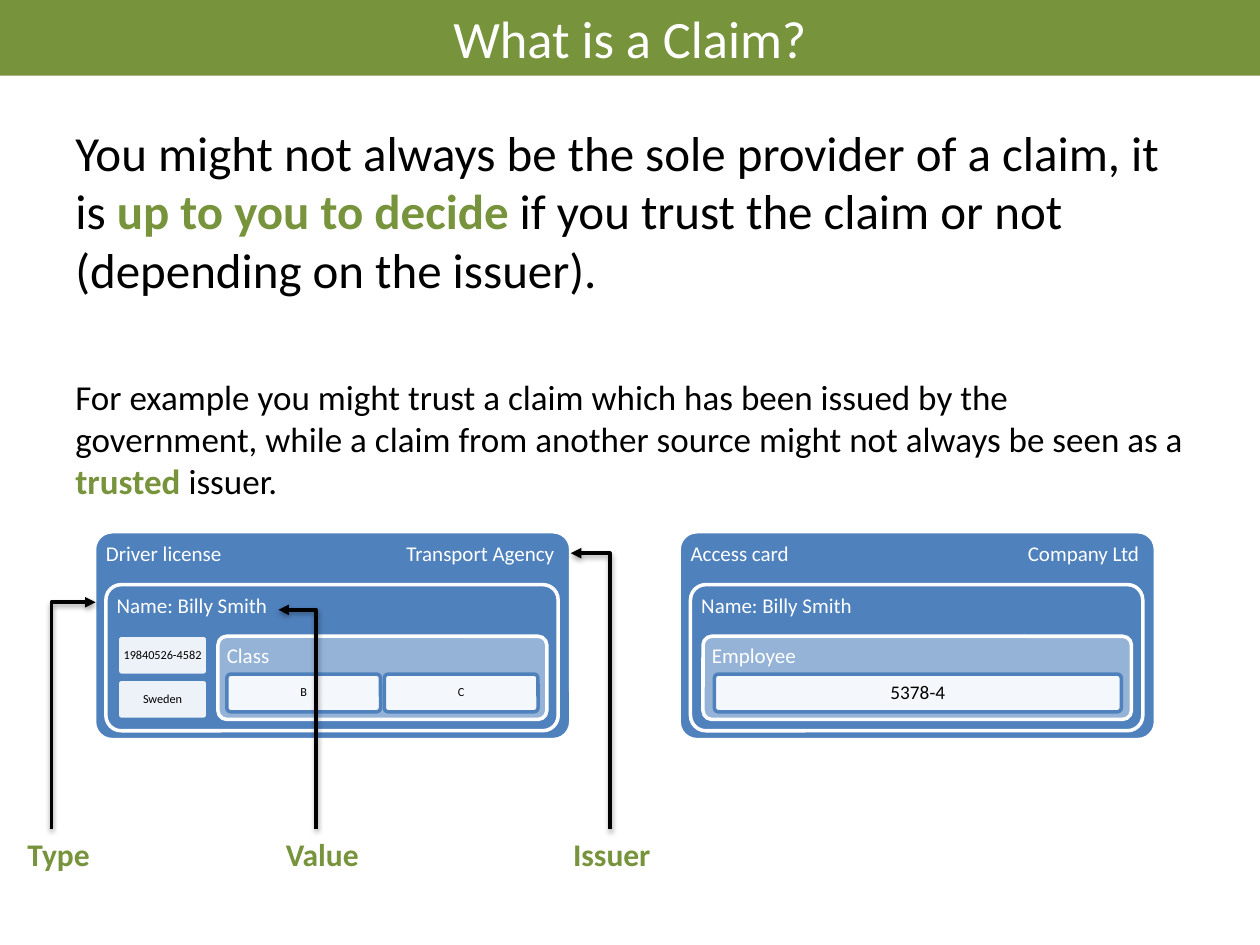
from dataclasses import dataclass

from lxml import etree
from pptx import Presentation
from pptx import util as u
from pptx.dml.color import RGBColor
from pptx.enum import shapes, text
from pptx.oxml.ns import qn

COLORS = {
    "green": "77933C", "blue": "4F81BD", "pale": "95B3D7",
    "white": "FFFFFF", "black": "000000",
}
FONT = "Calibri"
SLIDE_WIDTH, SLIDE_HEIGHT = u.Inches(10), u.Inches(7.5)
COLUMN, ROW = SLIDE_WIDTH / 100, SLIDE_HEIGHT / 75
CARD_TOP, LABEL_TOP = 42.2, 65.8
MARGINS = ("margin_left", "margin_top", "margin_right", "margin_bottom")


@dataclass(frozen=True)
class Area:
    """Left, top, width and height in grid columns and rows."""
    left: float
    top: float
    width: float
    height: float

    def shifted(self, left: float, top: float) -> "Area":
        return Area(self.left + left, self.top + top, self.width, self.height)

    def lengths(self) -> tuple[int, ...]:
        return (round(self.left * COLUMN), round(self.top * ROW),
                round(self.width * COLUMN), round(self.height * ROW))


@dataclass(frozen=True)
class Run:
    words: str
    size: float
    color: str = "black"
    bold: bool = False


@dataclass(frozen=True)
class Style:
    fill: str
    line: str
    corner: float = 0.105
    is_cell: bool = False


@dataclass(frozen=True)
class Box:
    area: Area
    style: Style
    run: Run


@dataclass(frozen=True)
class Card:
    left: float
    boxes: tuple[Box, ...]


@dataclass(frozen=True)
class Pointer:
    """A label, the column of its line, and the point its arrow reaches."""
    words: str
    area: Area
    column: float
    target: tuple[float, float]


OUTER = Style("blue", "white", corner=0.085)
PANEL = Style("blue", "white")
GROUP = Style("pale", "white")
CELL = Style("white", "blue", is_cell=True)


def heading(area: Area, style: Style, words: str) -> Box:
    return Box(area, style, Run(words, 12, "white"))


def cell(area: Area, words: str, size: float = 7) -> Box:
    return Box(area, CELL, Run(words, size))


def card_frame(title: str, issuer: str) -> tuple[Box, ...]:
    return (heading(Area(0, 0, 37.8, 16.5), OUTER, f"{title}\t{issuer}"),
            heading(Area(0.9, 4.2, 35.9, 11.6), PANEL, "Name: Billy Smith"))


CARDS = (
    Card(7.5, card_frame("Driver license", "Transport Agency") + (
        cell(Area(1.8, 8.2, 7.2, 3.2), "19840526-4582"),
        cell(Area(1.8, 11.7, 7.2, 3.2), "Sweden"),
        heading(Area(9.8, 8.3, 26.1, 6.6), GROUP, "Class"),
        cell(Area(10.5, 11.3, 12.2, 3), "B"),
        cell(Area(23, 11.3, 12.2, 3), "C"),
    )),
    Card(53.9, card_frame("Access card", "Company Ltd") + (
        heading(Area(1.9, 8.3, 34, 6.6), GROUP, "Employee"),
        cell(Area(2.8, 11.3, 32.3, 3), "5378-4", 11),
    )),
)
POINTERS = (
    Pointer("Issuer", Area(44.5, LABEL_TOP, 8.7, 4), 48.4, (45.3, 43.9)),
    Pointer("Type", Area(1.2, LABEL_TOP, 7, 4), 4.1, (7.6, 47.8)),
    Pointer("Value", Area(21.7, LABEL_TOP, 7.8, 4), 25.1, (22.1, 48.4)),
)
CLAIM = (
    Run("You might not always be the sole provider of a claim, it is ", 28),
    Run("up to you to decide ", 28, "green", True),
    Run("if you trust the claim or not (depending on the issuer).", 28),
)
EXAMPLE = (
    Run("For example you might trust a claim which has been issued by the "
        "government, while a claim from another source might not always be "
        "seen as a ", 20),
    Run("trusted ", 20, "green", True),
    Run("issuer.", 20),
)


def rgb(name: str) -> RGBColor:
    return RGBColor.from_string(COLORS[name])


def set_all(target, values: dict) -> None:
    for name, value in values.items():
        setattr(target, name, value)


def add_runs(paragraph, runs: tuple[Run, ...]) -> None:
    for item in runs:
        run = paragraph.add_run()
        run.text = item.words
        set_all(run.font, {"name": FONT, "size": u.Pt(item.size), "bold": item.bold})
        run.font.color.rgb = rgb(item.color)


def add_shape(slide, kind, area: Area, fill: str):
    shape = slide.shapes.add_shape(kind, *area.lengths())
    shape.shadow.inherit = False
    shape.fill.solid()
    shape.fill.fore_color.rgb = rgb(fill)
    return shape


def add_title(slide, words: str) -> None:
    shape = add_shape(slide, shapes.MSO_SHAPE.RECTANGLE, Area(0, 0, 100, 6), "green")
    shape.line.fill.background()
    shape.text_frame.vertical_anchor = text.MSO_ANCHOR.MIDDLE
    paragraph = shape.text_frame.paragraphs[0]
    paragraph.alignment = text.PP_ALIGN.CENTER
    add_runs(paragraph, (Run(words, 30, "white"),))


def add_body(slide) -> None:
    frame = slide.shapes.add_textbox(*Area(5, 9.2, 90, 60.6).lengths()).text_frame
    frame.word_wrap = True
    add_runs(frame.paragraphs[0], CLAIM)
    paragraph = frame.add_paragraph()
    paragraph.space_before = u.Pt(44)
    add_runs(paragraph, EXAMPLE)


def add_box(slide, box: Box, left: float) -> None:
    style = box.style
    shape = add_shape(slide, shapes.MSO_SHAPE.ROUNDED_RECTANGLE,
                      box.area.shifted(left, CARD_TOP), style.fill)
    shape.adjustments[0] = style.corner
    shape.line.color.rgb = rgb(style.line)
    shape.line.width = u.Pt(2)
    margin = 0 if style.is_cell else u.Inches(0.05)
    set_all(shape.text_frame, dict.fromkeys(MARGINS, margin) | {
        "word_wrap": True,
        "vertical_anchor": text.MSO_ANCHOR.MIDDLE if style.is_cell else text.MSO_ANCHOR.TOP,
    })
    paragraph = shape.text_frame.paragraphs[0]
    if style.is_cell:
        color = shape.fill._xPr.find(qn("a:solidFill"))[0]
        etree.SubElement(color, qn("a:alpha"), val="90000")
    if "\t" in box.run.words:
        tabs = etree.SubElement(paragraph._p.get_or_add_pPr(), qn("a:tabLst"))
        etree.SubElement(tabs, qn("a:tab"), pos=str(u.Inches(3.56)), algn="r")
    set_all(paragraph, {
        "alignment": text.PP_ALIGN.CENTER if style.is_cell else text.PP_ALIGN.LEFT,
        "line_spacing": 0.9,
    })
    add_runs(paragraph, (box.run,))


def add_pointer(slide, pointer: Pointer) -> None:
    """Draw the label and its elbow, which leaves the target sideways."""
    x, y = pointer.target
    connector = slide.shapes.add_connector(
        shapes.MSO_CONNECTOR.ELBOW, round(x * COLUMN), round(y * ROW),
        round(pointer.column * COLUMN), round(LABEL_TOP * ROW))
    connector.line.color.rgb = rgb("black")
    connector.line.width = u.Pt(2)
    properties = connector._element.spPr
    guides = properties.find(qn("a:prstGeom")).get_or_add_avLst()
    etree.SubElement(guides, qn("a:gd"), name="adj1", fmla="val 100000")
    etree.SubElement(connector.line._get_or_add_ln(), qn("a:headEnd"), type="triangle")
    effects = etree.SubElement(properties, qn("a:effectLst"))
    shadow = etree.SubElement(effects, qn("a:outerShdw"), blurRad=str(u.Pt(3.1)),
                              dist=str(u.Pt(1.6)), dir="5400000", rotWithShape="0")
    color = etree.SubElement(shadow, qn("a:srgbClr"), val=COLORS["black"])
    etree.SubElement(color, qn("a:alpha"), val="38000")

    frame = slide.shapes.add_textbox(*pointer.area.lengths()).text_frame
    set_all(frame, {"word_wrap": False, "auto_size": text.MSO_AUTO_SIZE.SHAPE_TO_FIT_TEXT})
    add_runs(frame.paragraphs[0], (Run(pointer.words, 18, "green", True),))


def main() -> None:
    presentation = Presentation()
    set_all(presentation, {"slide_width": SLIDE_WIDTH, "slide_height": SLIDE_HEIGHT})
    slide = presentation.slides.add_slide(presentation.slide_layouts[6])
    add_title(slide, "What is a Claim?")
    add_body(slide)
    for card in CARDS:
        for box in card.boxes:
            add_box(slide, box, card.left)
    for pointer in POINTERS:
        add_pointer(slide, pointer)
    presentation.save("out.pptx")


if __name__ == "__main__":
    main()
